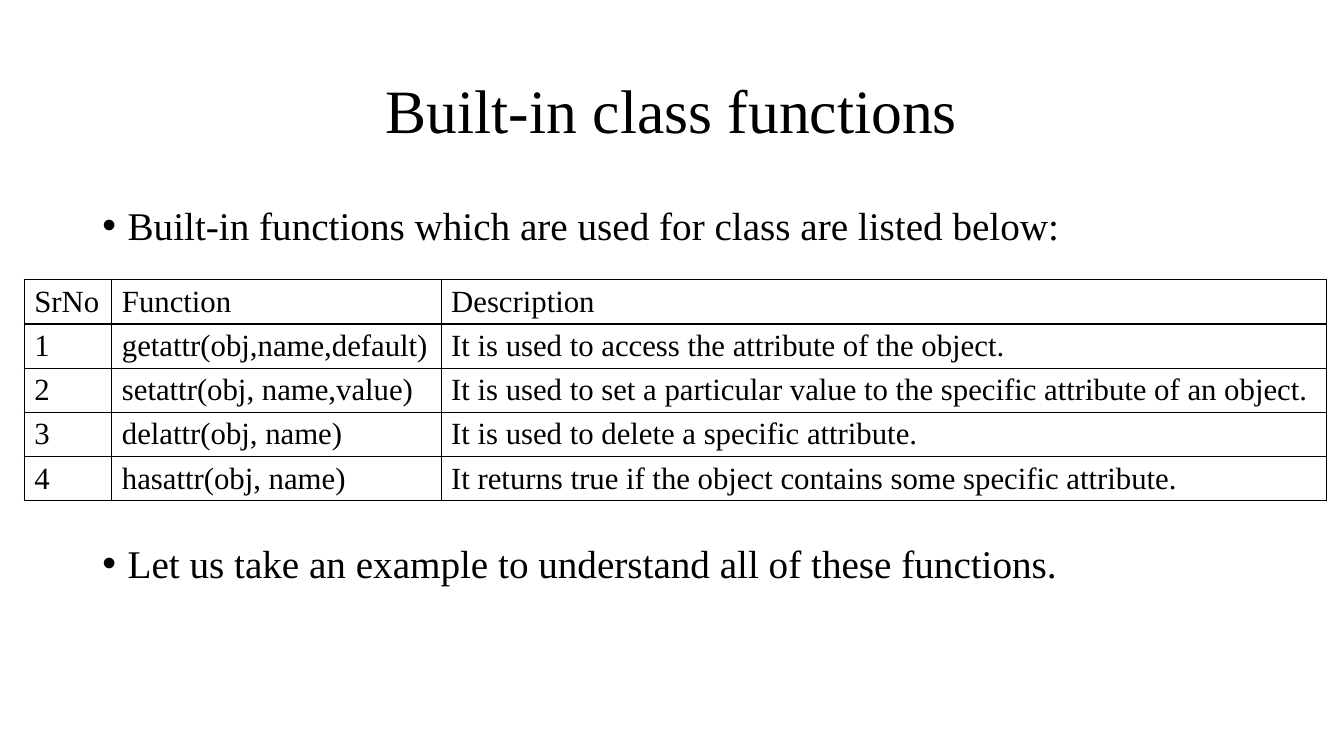
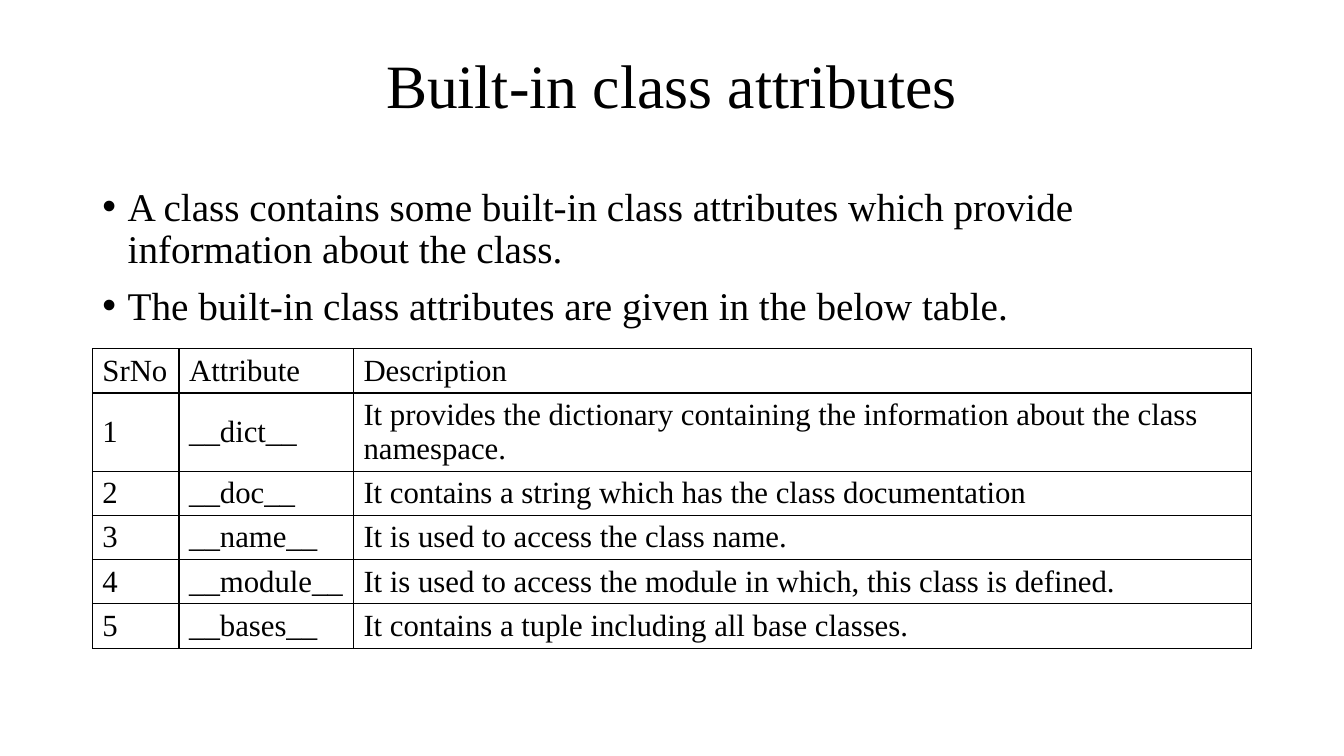
"""Build two slides on built-in class functions and attributes."""
import pptx
import pptx.util
import pptx.dml.color
import pptx.enum.text
import pptx.oxml
import pptx.oxml.ns

Pt = pptx.util.Pt
ENUM = pptx.enum.text

INK = "000000"
FACE = "Times New Roman"
SIZES = {"title": 44, "body": 28, "cell": 22}
EDGE, WIDE = 66, 828
ROW = 31.5
INDENT = 18

PAGES = [
    {
        "title": "Built-in class functions",
        "head": (28.8, 104.4),
        "list": (144, 342.72),
        "points": [
            ("Built-in functions which are used for class are listed below:", 10),
            ("Let us take an example to understand all of these functions.", 211),
        ],
        "grid": (17.28, 199.8),
        "cols": (62.64, 235.2, 632.16),
        "rows": [
            ("SrNo", "Function", "Description"),
            ("1", "getattr(obj,name,default)",
             "It is used to access the attribute of the object."),
            ("2", "setattr(obj, name,value)",
             "It is used to set a particular value to the specific attribute of an object."),
            ("3", "delattr(obj, name)",
             "It is used to delete a specific attribute."),
            ("4", "hasattr(obj, name)",
             "It returns true if the object contains some specific attribute."),
        ],
    },
    {
        "title": "Built-in class attributes",
        "head": (28.8, 69.12),
        "list": (130.32, 356.4),
        "points": [
            ("A class contains some built-in class attributes which provide "
             "information about the class.", 10),
            ("The built-in class attributes are given in the below table.", 10),
        ],
        "grid": (EDGE, 249.12),
        "cols": (61.92, 124.56, 641.52),
        "rows": [
            ("SrNo", "Attribute", "Description"),
            ("1", "__dict__",
             "It provides the dictionary containing the information about the class namespace."),
            ("2", "__doc__", "It contains a string which has the class documentation"),
            ("3", "__name__", "It is used to access the class name."),
            ("4", "__module__",
             "It is used to access the module in which, this class is defined."),
            ("5", "__bases__", "It contains a tuple including all base classes."),
        ],
    },
]


def color(text):
    """Turn a hex string into a colour."""
    return pptx.dml.color.RGBColor.from_string(text)


def apply(item, values):
    """Set each named attribute of an item."""
    for name, value in values.items():
        setattr(item, name, value)


def write(para, text, kind, **form):
    """Put one styled run in a paragraph."""
    run = para.add_run()
    run.text = text
    apply(run.font, {"name": FACE, "size": Pt(SIZES[kind])})
    run.font.color.rgb = color(INK)
    apply(para, form)


def place(shape, top, high, anchor):
    """Move a placeholder and fix its text frame."""
    apply(shape, {"left": Pt(EDGE), "top": Pt(top),
                  "width": Pt(WIDE), "height": Pt(high)})
    apply(shape.text_frame, {"word_wrap": True, "vertical_anchor": anchor,
                             "auto_size": ENUM.MSO_AUTO_SIZE.NONE})


def border(cell):
    """Draw a thin line on all four sides of a cell."""
    props = cell._tc.get_or_add_tcPr()
    space = pptx.oxml.ns.nsdecls("a")
    for spot, side in enumerate(("lnL", "lnR", "lnT", "lnB")):
        props.insert(spot, pptx.oxml.parse_xml(
            f'<a:{side} {space} w="{Pt(1)}"><a:solidFill>'
            f'<a:srgbClr val="{INK}"/></a:solidFill></a:{side}>'))


def bullets(frame, points):
    """Write the bullet list."""
    for spot, (text, gap) in enumerate(points):
        para = frame.add_paragraph() if spot else frame.paragraphs[0]
        write(para, text, "body", line_spacing=0.9, space_before=Pt(gap))
        props = para._p.get_or_add_pPr()
        props.set("marL", str(Pt(INDENT)))
        props.set("indent", str(-Pt(INDENT)))


def grid(slide, page):
    """Add the bordered table."""
    rows, cols = page["rows"], page["cols"]
    left, top = page["grid"]
    table = slide.shapes.add_table(
        len(rows), len(cols), Pt(left), Pt(top),
        Pt(sum(cols)), Pt(ROW * len(rows))).table
    apply(table, {"first_row": False, "horz_banding": False})
    for col, wide in zip(table.columns, cols):
        col.width = Pt(wide)
    for line, texts in zip(table.rows, rows):
        line.height = Pt(ROW)
        for cell, text in zip(line.cells, texts):
            cell.vertical_anchor = ENUM.MSO_ANCHOR.MIDDLE
            cell.fill.background()
            border(cell)
            write(cell.text_frame.paragraphs[0], text, "cell")


deck = pptx.Presentation()
apply(deck, {"slide_width": Pt(960), "slide_height": Pt(540)})
for page in PAGES:
    slide = deck.slides.add_slide(deck.slide_layouts[1])
    title, body = slide.placeholders
    place(title, *page["head"], ENUM.MSO_ANCHOR.MIDDLE)
    write(title.text_frame.paragraphs[0], page["title"], "title",
          alignment=ENUM.PP_ALIGN.CENTER, line_spacing=0.9)
    place(body, *page["list"], ENUM.MSO_ANCHOR.TOP)
    bullets(body.text_frame, page["points"])
    grid(slide, page)
deck.save("out.pptx")
